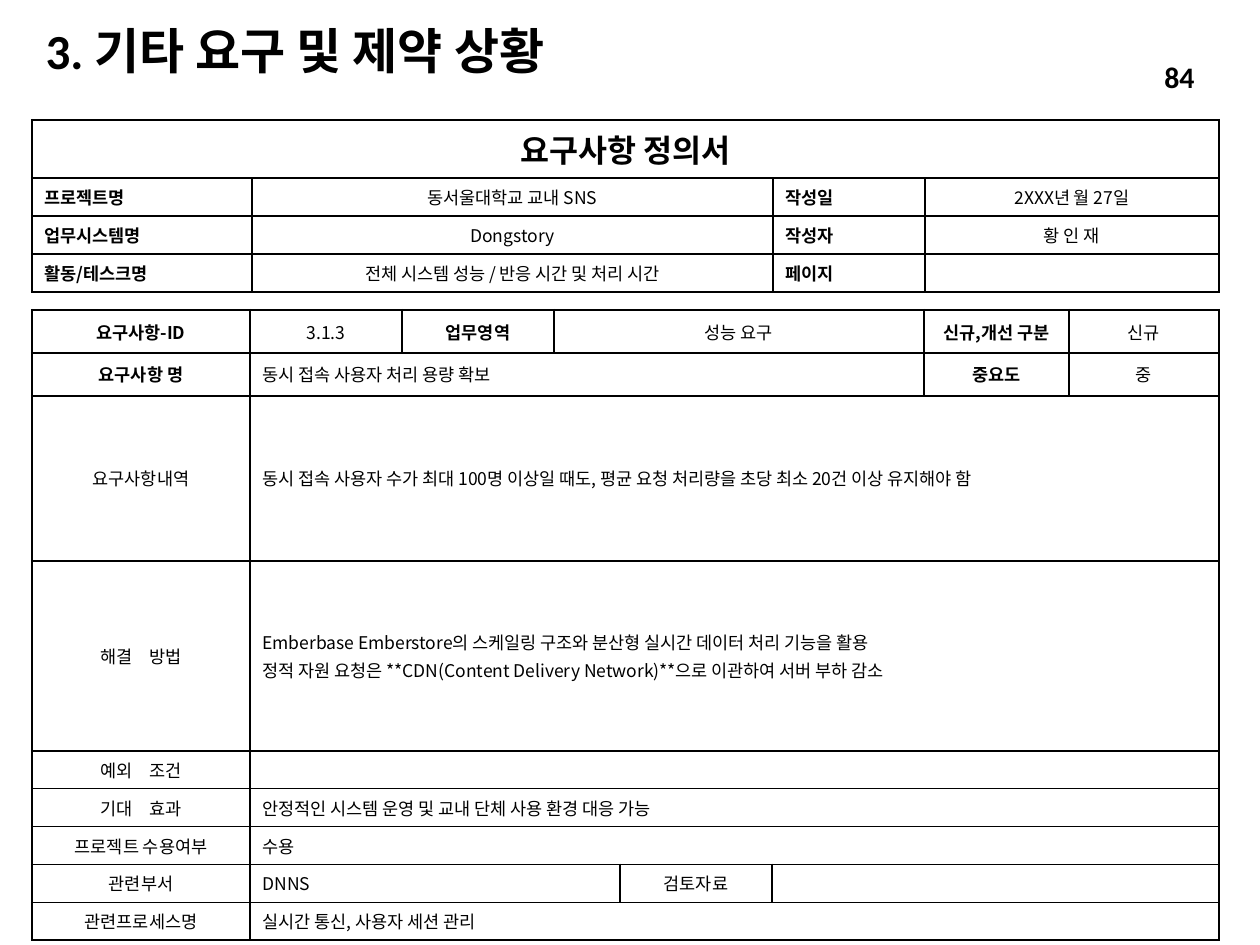
from typing import NamedTuple

from lxml.etree import SubElement
from pptx import Presentation
from pptx.dml.color import RGBColor
from pptx.enum.text import MSO_ANCHOR, MSO_AUTO_SIZE, PP_ALIGN
from pptx.oxml.ns import qn
from pptx.util import Pt

PX = 914400 // 126
BLACK = RGBColor(0x00, 0x00, 0x00)
HEADING_FONT = "Calibri"
TABLE_FONT = "Noto Sans CJK KR"
THIN, THICK = 1, 1.5
WIDE_SPACE = 7
LEFT, CENTER, RIGHT, JUSTIFY = PP_ALIGN.LEFT, PP_ALIGN.CENTER, PP_ALIGN.RIGHT, PP_ALIGN.JUSTIFY


class Entry(NamedTuple):
    """One table cell; a bar in its text marks a widened space."""

    text: str = ""
    span: int = 1
    align: PP_ALIGN = CENTER
    bold: bool = False
    size: int = 10


class Form(NamedTuple):
    """A bordered table with its grid in px."""

    left: int
    top: int
    columns: list[int]
    rows: list[int]
    entries: list[list[Entry]]
    thick_rules: set[int]
    anchor: MSO_ANCHOR


def label(text: str) -> Entry:
    return Entry(text, align=JUSTIFY, bold=True)


def heading(text: str) -> Entry:
    return Entry(text, bold=True)


def body(text: str = "", span: int = 7) -> Entry:
    return Entry(text, span, LEFT)


HEADER = Form(
    32, 120, [220, 521, 152, 294], [58, 34, 34, 34],
    [
        [Entry("요구사항 정의서", 4, bold=True, size=18)],
        [label("프로젝트명"), Entry("동서울대학교 교내 SNS"), label("작성일"), Entry("2XXX년 월 27일")],
        [label("업무시스템명"), Entry("Dongstory"), label("작성자"), Entry("황 인 재")],
        [label("활동/테스크명"), Entry("전체 시스템 성능 / 반응 시간 및 처리 시간"), label("페이지"), Entry()],
    ],
    {0, 4}, MSO_ANCHOR.TOP,
)

DETAIL = Form(
    32, 310, [218, 152, 152, 66, 152, 152, 145, 150], [43, 43, 165, 190] + [34] * 5,
    [
        [heading("요구사항-ID"), Entry("3.1.3"), heading("업무영역"), Entry("성능 요구", 3),
         heading("신규,개선 구분"), Entry("신규")],
        [heading("요구사항 명"), body("동시 접속 사용자 처리 용량 확보", 5), heading("중요도"), Entry("중")],
        [Entry("요구사항내역"),
         body("동시 접속 사용자 수가 최대 100명 이상일 때도, 평균 요청 처리량을 초당 최소 20건 이상 유지해야 함")],
        [Entry("해결|방법"),
         body("Emberbase Emberstore의 스케일링 구조와 분산형 실시간 데이터 처리 기능을 활용\n"
              "정적 자원 요청은 **CDN(Content Delivery Network)**으로 이관하여 서버 부하 감소")],
        [Entry("예외|조건"), body()],
        [Entry("기대|효과"), body("안정적인 시스템 운영 및 교내 단체 사용 환경 대응 가능")],
        [Entry("프로젝트 수용여부"), body("수용")],
        [Entry("관련부서"), body("DNNS", 3), Entry("검토자료"), body(span=3)],
        [Entry("관련프로세스명"), body("실시간 통신, 사용자 세션 관리")],
    ],
    {0, 1, 2, 9}, MSO_ANCHOR.MIDDLE,
)


def add_span(para, text: str, font: str, size: int, bold: bool):
    """Add one formatted run."""
    span = para.add_run()
    span.text = text
    span.font.name = font
    span.font.size = Pt(size)
    span.font.bold = bold
    span.font.color.rgb = BLACK
    return span


def write_entry(cell, entry: Entry) -> None:
    """Fill a cell with its paragraphs."""
    frame = cell.text_frame
    for index, line in enumerate(entry.text.split("\n")):
        para = frame.add_paragraph() if index else frame.paragraphs[0]
        para.alignment = entry.align
        if index:
            para.space_before = Pt(2)
        if not line:
            SubElement(para._p, qn("a:endParaRPr"), sz=str(entry.size * 100))
            continue
        for part_index, part in enumerate(line.split("|")):
            pieces = [" ", part] if part_index else [part]
            for piece in pieces:
                span = add_span(para, piece, TABLE_FONT, entry.size, entry.bold)
                properties = span.font._element
                SubElement(properties, qn("a:ea"), typeface=TABLE_FONT)
                if piece == " ":
                    properties.set("spc", str(WIDE_SPACE * 100))


def set_borders(cell, widths: dict[str, float]) -> None:
    """Draw black lines on the given sides of a cell."""
    properties = cell._tc.get_or_add_tcPr()
    for side, width in widths.items():
        line = SubElement(properties, qn(f"a:ln{side}"), w=str(Pt(width)))
        fill = SubElement(line, qn("a:solidFill"))
        SubElement(fill, qn("a:srgbClr"), val=str(BLACK))


def add_form(page, form: Form) -> None:
    """Add a table whose outer edge and chosen rules are thick."""
    frame = page.shapes.add_table(
        len(form.rows), len(form.columns), form.left * PX, form.top * PX,
        sum(form.columns) * PX, sum(form.rows) * PX)
    table = frame.table
    table.first_row = table.horz_banding = False
    for column, width in zip(table.columns, form.columns):
        column.width = width * PX
    for row, height in zip(table.rows, form.rows):
        row.height = height * PX
    for row_index, entries in enumerate(form.entries):
        above, below = (THICK if rule in form.thick_rules else THIN
                        for rule in (row_index, row_index + 1))
        start = 0
        for entry in entries:
            end = start + entry.span
            left = THIN if start else THICK
            right = THICK if end == len(form.columns) else THIN
            origin = table.cell(row_index, start)
            if entry.span > 1:
                origin.merge(table.cell(row_index, end - 1))
            for column_index in range(start, end):
                cell = table.cell(row_index, column_index)
                widths = {"L": left, "R": right, "T": above, "B": below}
                if column_index > start:
                    del widths["L"]
                    if column_index < end - 1:
                        del widths["R"]
                set_borders(cell, widths)
                cell.fill.background()
                cell.vertical_anchor = form.anchor
            write_entry(origin, entry)
            start = end


def write_heading(box, text: str, size: int, align: PP_ALIGN):
    """Write one bold line in the middle of a box."""
    frame = box.text_frame
    frame.word_wrap = True
    frame.auto_size = MSO_AUTO_SIZE.NONE
    frame.vertical_anchor = MSO_ANCHOR.MIDDLE
    para = frame.paragraphs[0]
    para.alignment = align
    add_span(para, text, HEADING_FONT, size, True)
    return para


def main() -> None:
    """Build the requirement slide."""
    deck = Presentation()
    deck.slide_width, deck.slide_height = 1260 * PX, 945 * PX
    page = deck.slides.add_slide(deck.slide_layouts[5])
    title = page.shapes.title
    title.left, title.top, title.width, title.height = (n * PX for n in (33, 26, 675, 55))
    write_heading(title, "3. 기타 요구 및 제약 상황", 28, LEFT).line_spacing = 0.9
    add_form(page, DETAIL)
    add_form(page, HEADER)
    number = page.shapes.add_textbox(*(n * PX for n in (1003, 52, 204, 50)))
    write_heading(number, "84", 17, RIGHT)
    deck.save("out.pptx")


if __name__ == "__main__":
    main()
